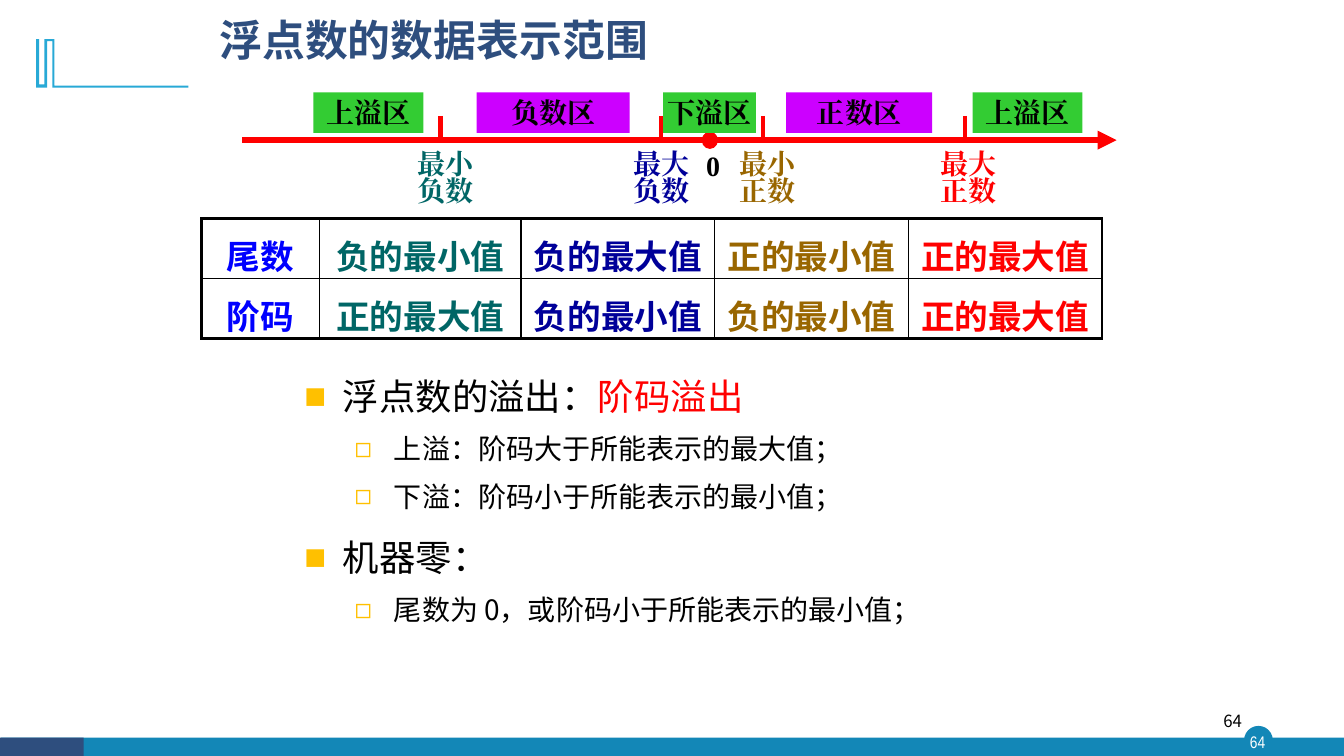
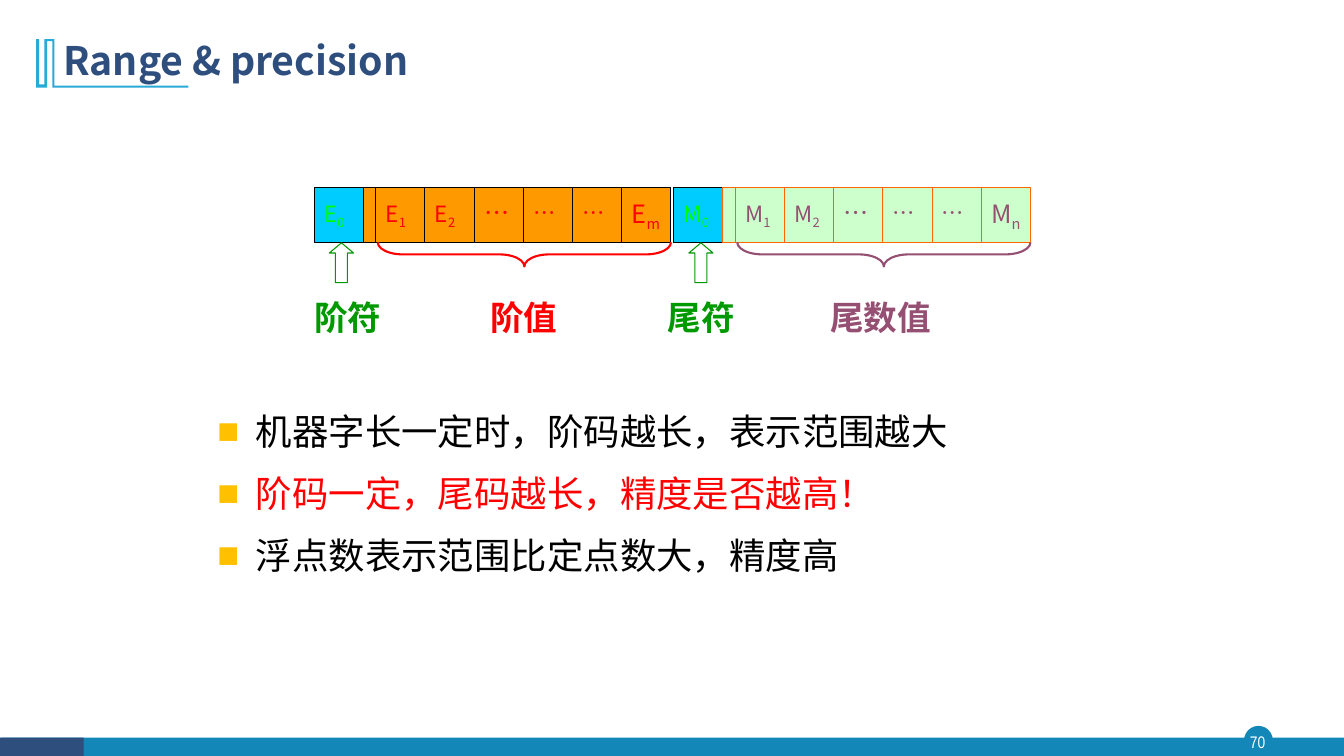
from lxml import etree
from pptx import Presentation
from pptx.dml.color import RGBColor
from pptx.enum import shapes, text
from pptx.oxml.ns import qn
from pptx.util import Cm, Pt

BLACK = RGBColor(0x00, 0x00, 0x00)
WHITE = RGBColor(0xFF, 0xFF, 0xFF)
NAVY = RGBColor(0x2E, 0x4E, 0x7E)
TEAL = RGBColor(0x13, 0x87, 0xB7)
SKY = RGBColor(0x28, 0xA9, 0xD6)
AMBER = RGBColor(0xFF, 0xC0, 0x00)
RED = RGBColor(0xFF, 0x00, 0x00)
GREEN = RGBColor(0x33, 0xCC, 0x33)
DARK_GREEN = RGBColor(0x00, 0x99, 0x00)
LIME = RGBColor(0x00, 0xFF, 0x00)
MINT = RGBColor(0xCC, 0xFF, 0xCC)
VIOLET = RGBColor(0xCC, 0x00, 0xFF)
PLUM = RGBColor(0x95, 0x4F, 0x72)
BLUE = RGBColor(0x00, 0x00, 0xFF)
DARK_BLUE = RGBColor(0x00, 0x00, 0x99)
PINE = RGBColor(0x00, 0x66, 0x66)
BROWN = RGBColor(0x99, 0x66, 0x00)
CYAN = RGBColor(0x00, 0xCC, 0xFF)
ORANGE = RGBColor(0xFF, 0x99, 0x00)
DEEP_ORANGE = RGBColor(0xFF, 0x66, 0x00)

SANS, SERIF = "Noto Sans CJK SC", "Times New Roman"
LEFT, CENTER, RIGHT, JUSTIFY = (text.PP_ALIGN.LEFT, text.PP_ALIGN.CENTER,
                                text.PP_ALIGN.RIGHT, text.PP_ALIGN.JUSTIFY)
TOP, MIDDLE = text.MSO_ANCHOR.TOP, text.MSO_ANCHOR.MIDDLE
SHAPE = shapes.MSO_SHAPE

# Corner ornament outline, in cm
ORNAMENT = [(1.37, 0.99), (1.37, 2.16), (4.75, 2.16), (4.75, 2.21), (1.32, 2.21),
            (1.32, 1.04), (1.19, 1.04), (1.19, 2.21), (0.91, 2.21), (0.91, 0.99),
            (0.99, 0.99), (0.99, 2.13), (1.12, 2.13), (1.12, 0.99)]

# Bullet per level: character, left margin, hanging indent, size, space before
BULLETS = [("■", 0.97, 0.97, 26, 10), ("◻", 2.26, 0.99, 20, 5)]


def add_run(p, content, size=20, color=BLACK, bold=False, font=SANS, subscript=False):
    r = p.add_run()
    r.text = content
    r.font.size, r.font.bold, r.font.name = Pt(size), bold, font
    r.font.color.rgb = color
    props = r.font._element
    etree.SubElement(props, qn("a:ea"), typeface=font)
    if subscript:
        props.set("baseline", "-25000")


def add_bullet(p, level):
    char, margin, hanging, _, _ = BULLETS[level]
    props = p._p.get_or_add_pPr()
    props.set("marL", str(Cm(margin)))
    props.set("indent", str(-Cm(hanging)))
    color = etree.SubElement(props, qn("a:buClr"))
    etree.SubElement(color, qn("a:srgbClr"), val=str(AMBER))
    etree.SubElement(props, qn("a:buFont"), typeface="Arial")
    etree.SubElement(props, qn("a:buChar"), char=char)


def set_border(cell, side, width):
    line = etree.SubElement(cell._tc.get_or_add_tcPr(), qn("a:ln" + side), w=str(Pt(width)))
    fill = etree.SubElement(line, qn("a:solidFill"))
    etree.SubElement(fill, qn("a:srgbClr"), val=str(BLACK))


class Deck:
    """Holds the presentation, its style and the current slide."""

    def __init__(self):
        self.prs = Presentation()
        self.prs.slide_width, self.prs.slide_height = Cm(33.87), Cm(19.05)
        self.s = None

    def new_slide(self, number, title, title_box, title_size):
        self.s = self.prs.slides.add_slide(self.prs.slide_layouts[6])
        self.shape(SHAPE.OVAL, (31.37, 18.31, 0.69, 0.69), TEAL, TEAL, 1)
        self.shape(SHAPE.RECTANGLE, (0.02, 18.59, 33.85, 0.46), TEAL)
        self.shape(SHAPE.RECTANGLE, (0, 18.59, 2.11, 0.46), NAVY)
        self.label((31.29, 18.31, 0.81, 0.79), number, align=CENTER, anchor=MIDDLE,
                   inset=0, size=12, color=WHITE, font="Arial Narrow")
        points = [(Cm(x), Cm(y)) for x, y in ORNAMENT]
        builder = self.s.shapes.build_freeform(*points[0])
        builder.add_line_segments(points[1:], close=True)
        self.paint(builder.convert_to_shape(), SKY)
        self.label(title_box, title, anchor=MIDDLE, spacing=0.9,
                   size=title_size, color=NAVY, bold=True)

    def paint(self, sp, fill=None, line=None, width=0.75):
        sp.shadow.inherit = False
        if fill is None:
            sp.fill.background()
        else:
            sp.fill.solid()
            sp.fill.fore_color.rgb = fill
        if line is None:
            sp.line.fill.background()
        else:
            sp.line.color.rgb = line
            sp.line.width = Pt(width)
        return sp

    def shape(self, kind, box, fill=None, line=None, width=0.75):
        sp = self.s.shapes.add_shape(kind, *map(Cm, box))
        return self.paint(sp, fill, line, width)

    def label(self, box, content, align=LEFT, anchor=TOP, spacing=1.0, inset=0.25, **style):
        tf = self.s.shapes.add_textbox(*map(Cm, box)).text_frame
        tf.word_wrap, tf.vertical_anchor = True, anchor
        tf.margin_left = tf.margin_right = Cm(inset)
        tf.margin_top = tf.margin_bottom = Cm(inset / 2)
        p = tf.paragraphs[0]
        p.alignment, p.line_spacing = align, spacing
        add_run(p, content, **style)

    def zone(self, x, width, name, fill):
        tf = self.shape(SHAPE.RECTANGLE, (x, 2.33, width, 1.02), fill).text_frame
        tf.word_wrap, tf.vertical_anchor = False, MIDDLE
        p = tf.paragraphs[0]
        p.alignment = CENTER
        add_run(p, name, bold=True, font=SERIF)

    def line(self, start, end, color, width, arrow=False):
        cn = self.s.shapes.add_connector(shapes.MSO_CONNECTOR.STRAIGHT,
                                         *map(Cm, start + end))
        cn.line.color.rgb, cn.line.width = color, Pt(width)
        if arrow:
            etree.SubElement(cn.line._get_or_add_ln(), qn("a:tailEnd"), type="triangle")
        etree.SubElement(cn._element.spPr, qn("a:effectLst"))

    def table(self, left, top, widths, row_height, rows, colors):
        frame = self.s.shapes.add_table(len(rows), len(widths), Cm(left), Cm(top),
                                        Cm(sum(widths)), Cm(row_height * len(rows)))
        tb = frame.table
        tb.first_row = tb.horz_banding = False
        for column, width in zip(tb.columns, widths):
            column.width = Cm(width)
        for i, row in enumerate(rows):
            tb.rows[i].height = Cm(row_height)
            for j, content in enumerate(row):
                cell = tb.cell(i, j)
                outer = {"L": j == 0, "R": j == len(row) - 1,
                         "T": i == 0, "B": i == len(rows) - 1}
                for side, is_outer in outer.items():
                    set_border(cell, side, 2.25 if is_outer else 1)
                cell.fill.background()
                cell.vertical_anchor = MIDDLE
                cell.margin_top, cell.margin_bottom = Cm(0.29), Cm(0)
                p = cell.text_frame.paragraphs[0]
                p.alignment, p.line_spacing = CENTER, 1.2
                add_run(p, content, size=24, color=colors[j], bold=True, font="Arial")

    def bullets(self, box, spacing, items):
        """Each item is a level followed by (text, colour) pairs."""
        tf = self.s.shapes.add_textbox(*map(Cm, box)).text_frame
        tf.word_wrap = True
        for i, (level, *runs) in enumerate(items):
            p = tf.add_paragraph() if i else tf.paragraphs[0]
            add_bullet(p, level)
            size, before = BULLETS[level][3:]
            p.level, p.alignment, p.line_spacing = level, JUSTIFY, spacing
            if i:
                p.space_before = Pt(before)
            for content, color in runs:
                add_run(p, content, size=size, color=color)

    def bit(self, x, fill, line, color, letter, index="", size=16, width=1.24):
        sp = self.shape(SHAPE.RECTANGLE, (x, 4.72, width, 1.4), fill, line)
        tf = sp.text_frame
        tf.word_wrap, tf.vertical_anchor = True, MIDDLE
        tf.margin_right = Cm(0)
        p = tf.paragraphs[0]
        p.alignment, p.line_spacing = LEFT, 0.8
        if letter:
            add_run(p, letter, size=size, color=color)
        if index:
            add_run(p, index, size=size, color=color, subscript=True)

    def field(self, x, letter, last, fill, line, color, sign, sign_x, value, value_x):
        """A sign bit and its value bits, with an arrow, a brace and two names below."""
        pitch, gap = 1.24, 0.31
        first = x + pitch + gap
        self.bit(x, CYAN, BLACK, LIME, letter, "0")
        digits = [(letter, "1", 16), (letter, "2", 16), ("…", "", 18),
                  ("…", "", 16), ("…", "", 16), (letter, last, 18)]
        for i, (content, index, size) in enumerate(digits):
            self.bit(first + i * pitch, fill, line, color, content, index, size)
        self.bit(x + pitch, fill, line, color, "", width=gap)

        length, depth = 7.39, 0.61
        middle = first + 0.05 + length / 2
        brace = self.shape(SHAPE.LEFT_BRACE, (middle - depth / 2, 6.41 - length / 2,
                                              depth, length), None, color, 1.5)
        brace.rotation = 270
        brace.adjustments[0], brace.adjustments[1] = 1.03, 0.5
        arrow = self.shape(SHAPE.UP_ARROW, (x + 0.38, 6.12, 0.61, 1), None, DARK_GREEN)
        arrow.adjustments[1] = 0.42
        for left, name, shade in ((sign_x, sign, DARK_GREEN), (value_x, value, color)):
            self.label((left, 7.16, 4, 1.4), name, spacing=1.2,
                       size=24, color=shade, bold=True)


def overflow_slide(deck):
    deck.new_slide("64", "浮点数的数据表示范围", (5.28, 0.53, 22.43, 1.07), 30.6)
    deck.label((23.93, 17.65, 7.62, 1.02), "64", align=RIGHT, anchor=MIDDLE, size=12)

    axis = 3.53
    deck.line((6.1, axis), (28.14, axis), RED, 4.5, arrow=True)
    deck.shape(SHAPE.OVAL, (17.7, 3.33, 0.38, 0.41), RED, RED)
    deck.label((17.32, 3.78, 1.3, 0.94), "0", align=CENTER, spacing=0.8,
               bold=True, font=SERIF)
    limits = [(11.1, 11.23, "最小负数", PINE), (16.66, 16.68, "最大负数", DARK_BLUE),
              (19.23, 19.34, "最小正数", BROWN), (24.31, 24.41, "最大正数", RED)]
    width = 2.1
    for tick, middle, name, color in limits:
        deck.line((tick, 2.92), (tick, axis), RED, 3)
        deck.label((middle - width / 2, 3.73, width, 1.63), name, align=CENTER,
                   spacing=0.8, color=color, bold=True, font=SERIF)
    for zone in [(16.71, 2.34, "下溢区", GREEN), (7.9, 2.77, "上溢区", GREEN),
                 (24.51, 2.77, "上溢区", GREEN), (12.01, 3.86, "负数区", VIOLET),
                 (19.81, 3.68, "正数区", VIOLET)]:
        deck.zone(*zone)

    deck.table(5.08, 5.51, [2.97, 5.08, 4.88, 4.88, 4.88], 1.47,
               [["尾数", "负的最小值", "负的最大值", "正的最小值", "正的最大值"],
                ["阶码", "正的最大值", "负的最小值", "负的最小值", "正的最大值"]],
               [BLUE, PINE, DARK_BLUE, BROWN, RED])
    deck.bullets((7.42, 9.09, 20.32, 8.46), 1.2, [
        (0, ("浮点数的溢出：", BLACK), ("阶码溢出", RED)),
        (1, ("上溢：阶码大于所能表示的最大值；", BLACK)),
        (1, ("下溢：阶码小于所能表示的最小值；", BLACK)),
        (0, ("机器零：", BLACK)),
        (1, ("尾数为 0，或阶码小于所能表示的最小值；", BLACK))])


def precision_slide(deck):
    deck.new_slide("70", "Range & precision", (1.35, 0.71, 29.21, 1.73), 28)
    deck.bullets((5.23, 10.08, 22.83, 7.19), 1.1, [
        (0, ("机器字长一定时，阶码越长，表示范围越大", BLACK)),
        (0, ("阶码一定，尾码越长，精度是否越高！", RED)),
        (0, ("浮点数表示范围比定点数大，精度高", BLACK))])
    deck.field(7.92, "E", "m", ORANGE, BLACK, RED, "阶符", 7.67, "阶值", 12.1)
    deck.field(16.98, "M", "n", MINT, DEEP_ORANGE, PLUM, "尾符", 16.58, "尾数值", 20.67)


def main():
    deck = Deck()
    overflow_slide(deck)
    precision_slide(deck)
    deck.prs.save("out.pptx")


if __name__ == "__main__":
    main()
